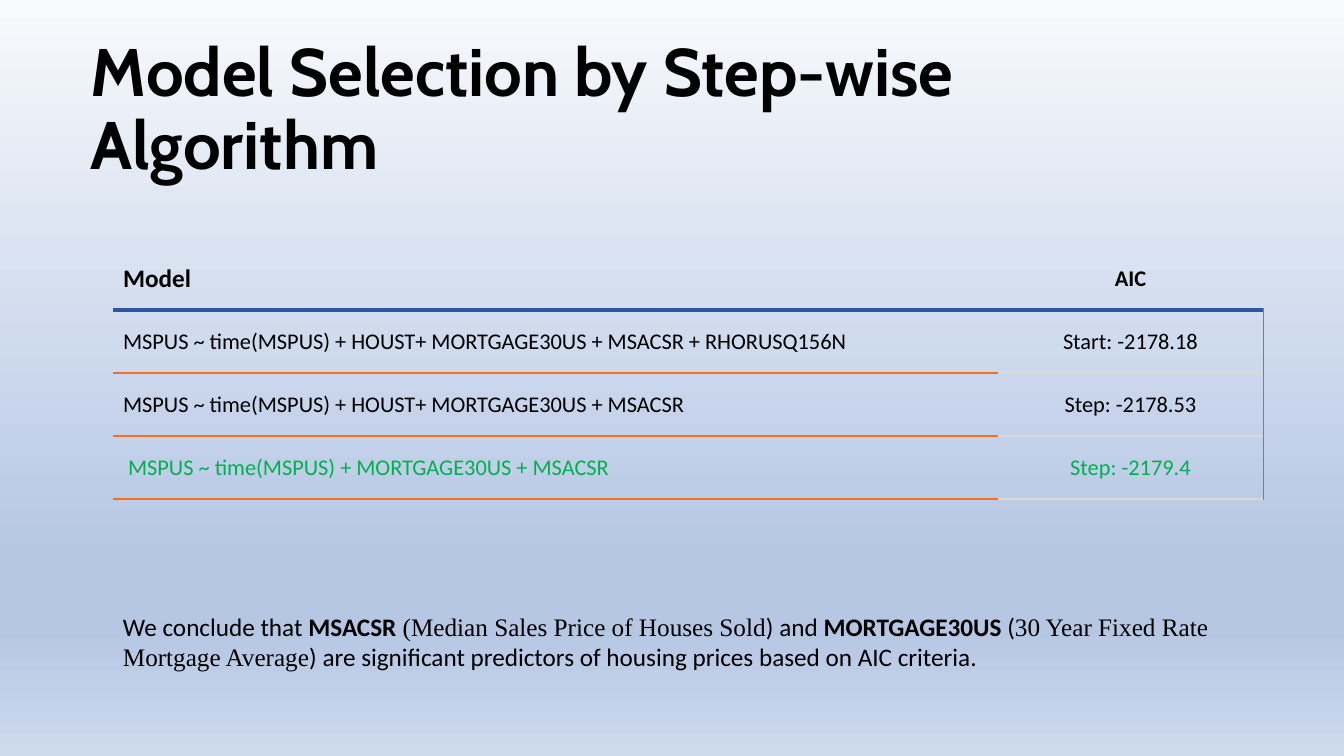
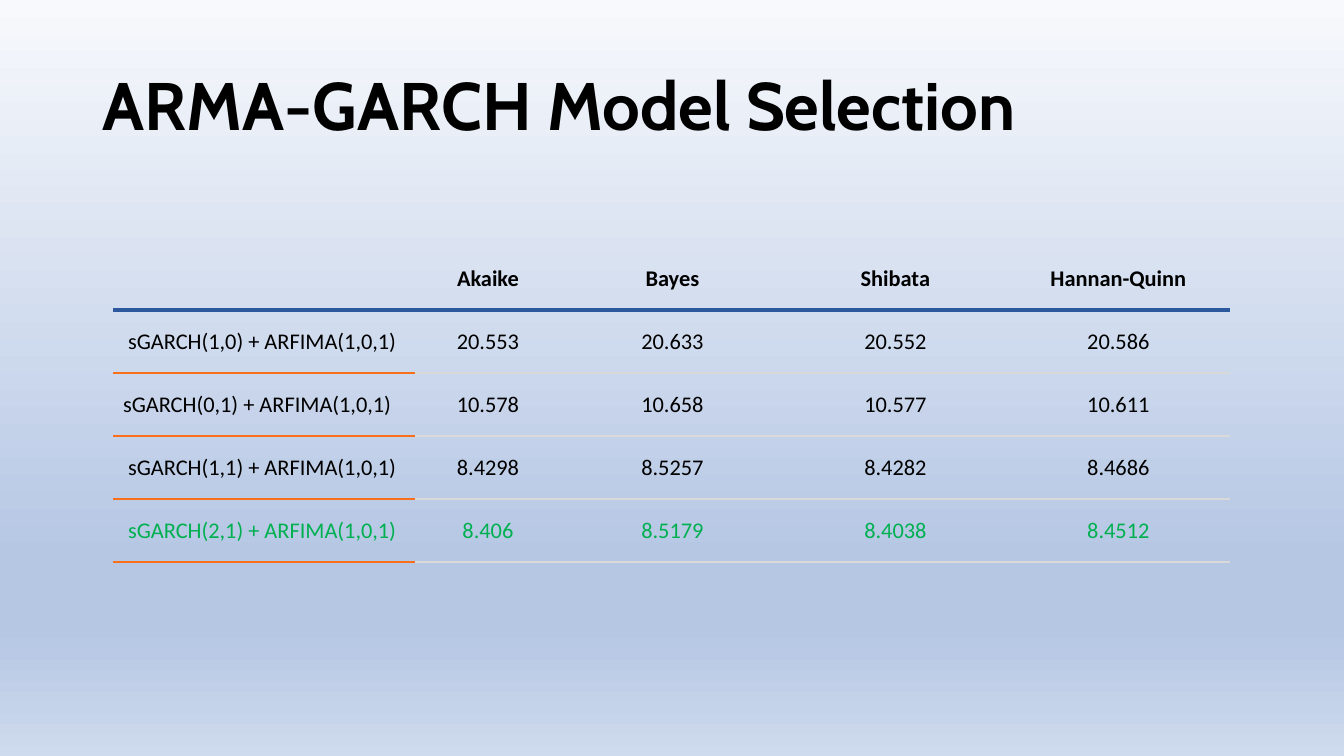
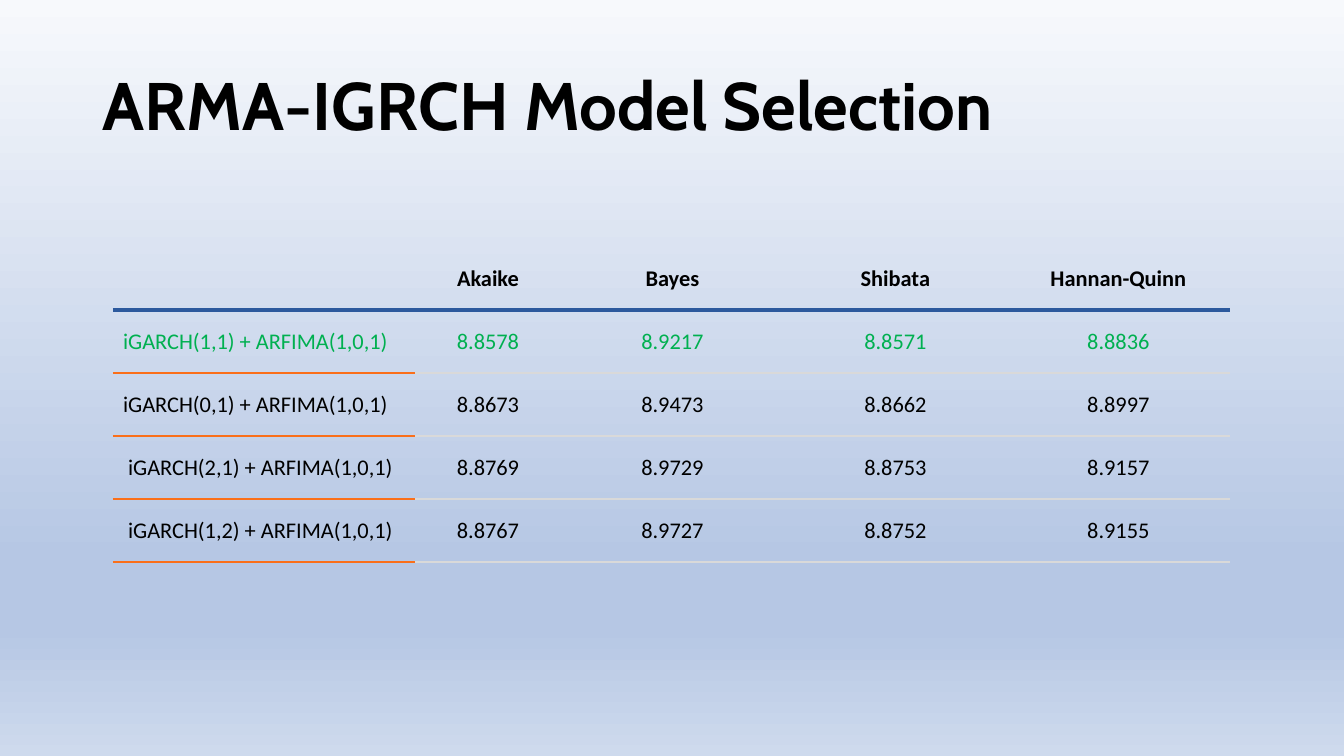
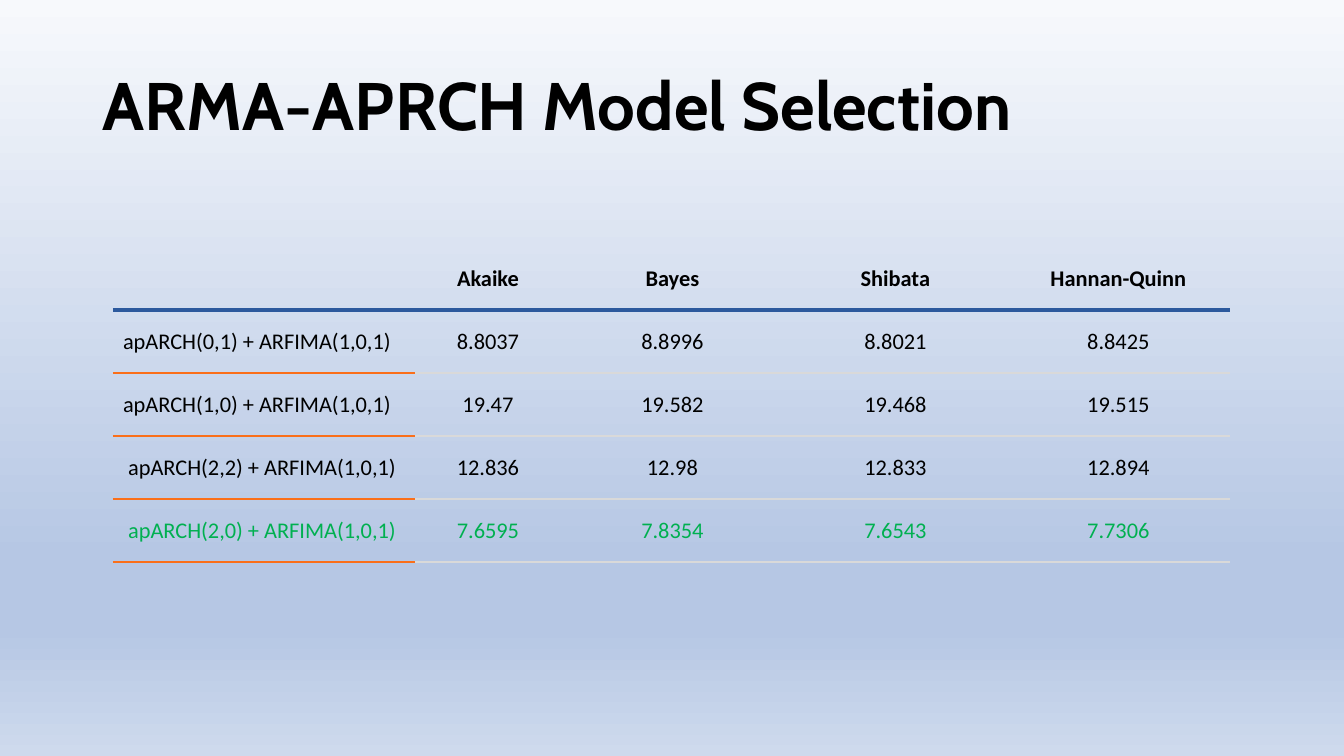
"""Build four slides on time-series model selection, each with a title and a table."""
from lxml.etree import SubElement
from pptx import Presentation
from pptx.dml.color import RGBColor
from pptx.enum.text import MSO_ANCHOR, MSO_AUTO_SIZE, PP_ALIGN
from pptx.oxml.ns import qn
from pptx.util import Pt

PX = 9071
BLACK, GREEN = "000000", "00B050"
HEADER_BLUE, EDGE_BLUE, ORANGE, GRAY = "2C599D", "5C83C4", "FA6F1A", "D9D9D9"
BACKGROUND_STOPS = [(0, "F7F9FC"), (74, "B6C7E4"), (83, "B6C7E4"), (100, "CEDAED")]
NO_GRID_STYLE = "{2D5ABB26-0587-4C30-8999-92F81FD0307C}"
TABLE_LEFT, TABLE_TOP, ROW_HEIGHT = 113, 247, 63

CRITERIA = ["", "Akaike", "Bayes", "Shibata", "Hannan-Quinn"]
CRITERIA_WIDTHS = [302, 146, 223, 223, 223]
EMPTY_ROW = [""] * 5

SLIDES = [
    {
        "title": "Model Selection by Step-wise Algorithm",
        "title_at": (81, 72, 1180, 78),
        "widths": [885, 265],
        "best_row": 3,
        "right_edge": True,
        "rows": [
            ["Model", "AIC"],
            ["MSPUS ~ time(MSPUS) + HOUST+ MORTGAGE30US + MSACSR + RHORUSQ156N", "Start: -2178.18"],
            ["MSPUS ~ time(MSPUS) + HOUST+ MORTGAGE30US + MSACSR", "Step: -2178.53"],
            [" MSPUS ~ time(MSPUS) + MORTGAGE30US + MSACSR", "Step: -2179.4"],
        ],
    },
    {
        "title": "ARMA-GARCH Model Selection",
        "title_at": (93, 70, 1159, 78),
        "widths": CRITERIA_WIDTHS,
        "best_row": 4,
        "right_edge": False,
        "rows": [
            CRITERIA,
            [" sGARCH(1,0) + ARFIMA(1,0,1)", "20.553", "20.633", "20.552", "20.586"],
            ["sGARCH(0,1) + ARFIMA(1,0,1)", "10.578", "10.658", "10.577", "10.611"],
            [" sGARCH(1,1) + ARFIMA(1,0,1)", "8.4298", "8.5257", "8.4282", "8.4686"],
            [" sGARCH(2,1) + ARFIMA(1,0,1)", "8.406", "8.5179", "8.4038", "8.4512"],
            EMPTY_ROW,
        ],
    },
    {
        "title": "ARMA-IGRCH Model Selection",
        "title_at": (93, 70, 1159, 78),
        "widths": CRITERIA_WIDTHS,
        "best_row": 1,
        "right_edge": False,
        "rows": [
            CRITERIA,
            ["iGARCH(1,1) + ARFIMA(1,0,1)", "8.8578", "8.9217", "8.8571", "8.8836"],
            ["iGARCH(0,1) + ARFIMA(1,0,1)", "8.8673", "8.9473", "8.8662", "8.8997"],
            [" iGARCH(2,1) + ARFIMA(1,0,1)", "8.8769", "8.9729", "8.8753", "8.9157"],
            [" iGARCH(1,2) + ARFIMA(1,0,1)", "8.8767", "8.9727", "8.8752", "8.9155"],
            EMPTY_ROW,
        ],
    },
    {
        "title": "ARMA-APRCH Model Selection",
        "title_at": (93, 70, 1159, 78),
        "widths": CRITERIA_WIDTHS,
        "best_row": 4,
        "right_edge": False,
        "rows": [
            CRITERIA,
            ["apARCH(0,1) + ARFIMA(1,0,1)", "8.8037", "8.8996", "8.8021", "8.8425"],
            ["apARCH(1,0) + ARFIMA(1,0,1)", "19.47", "19.582", "19.468", "19.515"],
            [" apARCH(2,2) + ARFIMA(1,0,1)", "12.836", "12.98", "12.833", "12.894"],
            [" apARCH(2,0) + ARFIMA(1,0,1)", "7.6595", "7.8354", "7.6543", "7.7306"],
            EMPTY_ROW,
        ],
    },
]

CONCLUSION = [
    ("We conclude that ", "Calibri", False),
    ("MSACSR", "Calibri", True),
    (" (Median Sales Price of Houses Sold", "Times New Roman", False),
    (") and ", "Calibri", False),
    ("MORTGAGE30US", "Calibri", True),
    (" (", "Calibri", False),
    ("30 Year Fixed Rate Mortgage Average", "Times New Roman", False),
    (") are significant predictors of housing prices based on AIC criteria.", "Calibri", False),
]


def add_run(paragraph, text, size, font="Calibri", bold=False, color=BLACK):
    run = paragraph.add_run()
    run.text = text
    run.font.size = Pt(size)
    run.font.name = font
    run.font.bold = bold
    run.font.color.rgb = RGBColor.from_string(color)


def add_border(cell, side, color, width):
    properties = cell._tc.get_or_add_tcPr()
    line = SubElement(properties, qn(f"a:ln{side}"), w=str(Pt(width)))
    fill = SubElement(line, qn("a:solidFill"))
    SubElement(fill, qn("a:srgbClr"), val=color)


presentation = Presentation()
presentation.slide_width = 1344 * PX
presentation.slide_height = 756 * PX

master = presentation.slide_master
background = master.background.fill
background.gradient()
background.gradient_angle = 270
stop_list = master.element.find(".//" + qn("a:gsLst"))
for stop in list(stop_list):
    stop_list.remove(stop)
for position, color in BACKGROUND_STOPS:
    stop = SubElement(stop_list, qn("a:gs"), pos=str(position * 1000))
    SubElement(stop, qn("a:srgbClr"), val=color)

for content in SLIDES:
    slide = presentation.slides.add_slide(presentation.slide_layouts[6])

    title = slide.shapes.add_textbox(*[length * PX for length in content["title_at"]])
    title.text_frame.word_wrap = True
    title.text_frame.auto_size = MSO_AUTO_SIZE.NONE
    title.text_frame.vertical_anchor = MSO_ANCHOR.MIDDLE
    paragraph = title.text_frame.paragraphs[0]
    paragraph.line_spacing = 0.9
    add_run(paragraph, content["title"], 48, "Cabin", True)

    rows, widths = content["rows"], content["widths"]
    frame = slide.shapes.add_table(
        len(rows), len(widths), TABLE_LEFT * PX, TABLE_TOP * PX,
        sum(widths) * PX, len(rows) * ROW_HEIGHT * PX)
    table = frame.table
    table.first_row = False
    table.horz_banding = False
    table._tbl.tblPr.find(qn("a:tableStyleId")).text = NO_GRID_STYLE
    for column, width in zip(table.columns, widths):
        column.width = width * PX

    for row_index, texts in enumerate(rows):
        table.rows[row_index].height = ROW_HEIGHT * PX
        for column_index, text in enumerate(texts):
            cell = table.cell(row_index, column_index)
            cell.vertical_anchor = MSO_ANCHOR.MIDDLE
            paragraph = cell.text_frame.paragraphs[0]
            if column_index > 0:
                paragraph.alignment = PP_ALIGN.CENTER
            if text:
                add_run(paragraph, text, 18 if text == "Model" else 16, bold=row_index == 0,
                        color=GREEN if row_index == content["best_row"] else BLACK)

            header_line = (HEADER_BLUE, 3)
            body_line = (ORANGE, 1.5) if column_index == 0 else (GRAY, 1)
            if content["right_edge"] and row_index > 0 and column_index == len(widths) - 1:
                add_border(cell, "R", EDGE_BLUE, 0.5)
            if row_index > 0:
                add_border(cell, "T", *(header_line if row_index == 1 else body_line))
            if any(texts):
                add_border(cell, "B", *(header_line if row_index == 0 else body_line))
            cell.fill.background()

conclusion = presentation.slides[0].shapes.add_textbox(113 * PX, 606 * PX, 1149 * PX, 72 * PX)
conclusion.text_frame.word_wrap = True
conclusion.text_frame.auto_size = MSO_AUTO_SIZE.SHAPE_TO_FIT_TEXT
for text, font, bold in CONCLUSION:
    add_run(conclusion.text_frame.paragraphs[0], text, 18, font, bold)

presentation.save("out.pptx")
